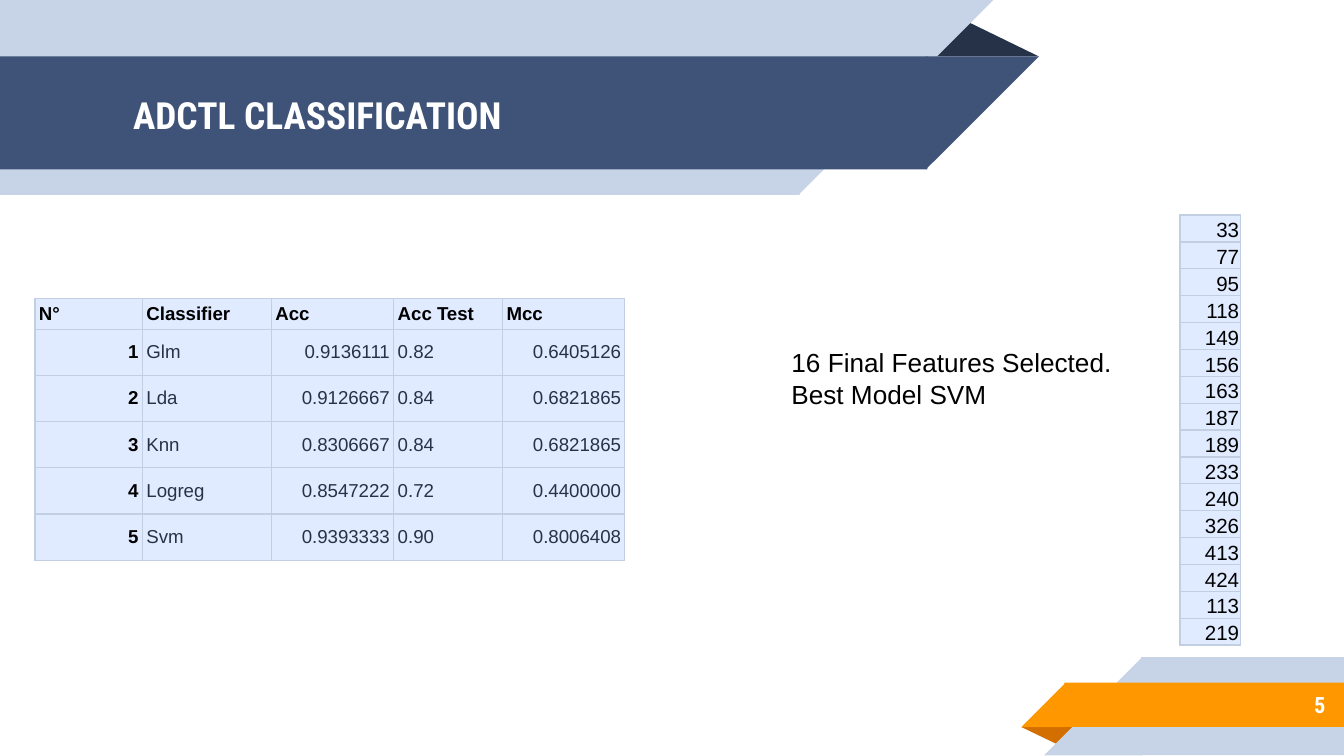
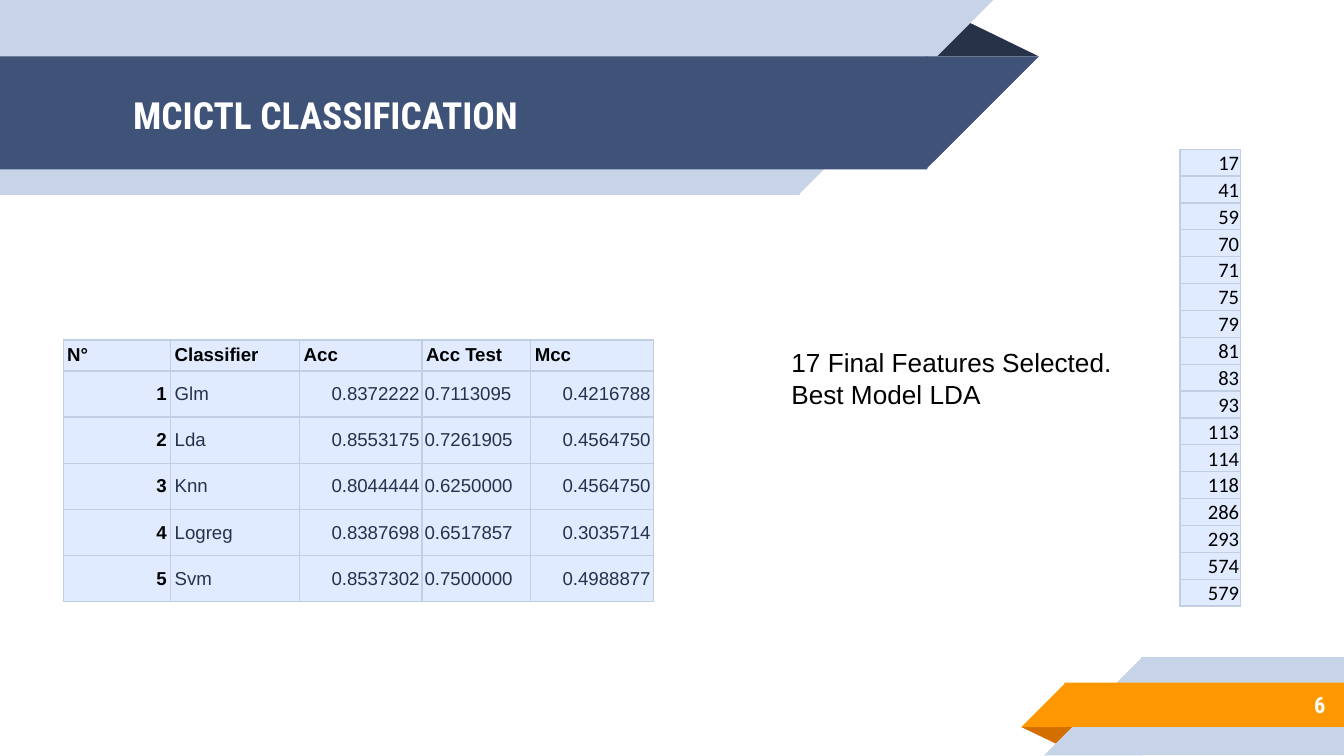
from lxml.etree import SubElement
from pptx import Presentation
from pptx.dml.color import RGBColor
from pptx.enum.shapes import MSO_SHAPE
from pptx.enum.text import MSO_ANCHOR, PP_ALIGN
from pptx.oxml.ns import qn
from pptx.util import Inches, Pt

WHITE = RGBColor(0xFF, 0xFF, 0xFF)
BLACK = RGBColor(0x00, 0x00, 0x00)
PALE = RGBColor(0xC7, 0xD3, 0xE6)
BLUE = RGBColor(0x3F, 0x53, 0x78)
NAVY = RGBColor(0x26, 0x32, 0x48)
ORANGE = RGBColor(0xFF, 0x98, 0x00)
RUST = RGBColor(0xD2, 0x6F, 0x00)
CELL_FILL = RGBColor(0xE1, 0xEB, 0xFF)
CELL_BORDER = "C2CEE2"
HEADING_FONT = "Roboto Condensed"
LEFT, RIGHT = PP_ALIGN.LEFT, PP_ALIGN.RIGHT
RECT, CORNER, TRIANGLE = MSO_SHAPE.RECTANGLE, MSO_SHAPE.RIGHT_TRIANGLE, MSO_SHAPE.ISOSCELES_TRIANGLE

# preset, left, top, width, height, rotation, flipped, colour
BANDS = [
    (TRIANGLE, 7.6, 5.41, 0.43, 0.14, 180, False, RUST),
    (RECT, 8.49, 4.89, 1.51, 0.73, 0, False, PALE),
    (CORNER, 7.77, 4.89, 0.73, 0.73, 0, True, PALE),
    (RECT, 7.92, 5.08, 2.08, 0.33, 0, False, ORANGE),
    (CORNER, 7.6, 5.08, 0.33, 0.33, 0, True, ORANGE),
    (TRIANGLE, 6.88, 0.14, 0.85, 0.28, 0, False, NAVY),
    (RECT, 0, 0, 5.95, 1.45, 0, False, PALE),
    (CORNER, 5.94, 0, 1.45, 1.45, 180, True, PALE),
    (RECT, 0, 0.42, 6.9, 0.84, 0, False, BLUE),
    (CORNER, 6.89, 0.42, 0.84, 0.84, 180, True, BLUE),
]

HEADER = ["N°", "Classifier", "Acc", "Acc Test", "Mcc"]
CLASSIFIERS = ["Glm", "Lda", "Knn", "Logreg", "Svm"]
COLUMN_ALIGNS = [RIGHT, LEFT, RIGHT, LEFT, RIGHT]
SCORE_WIDTHS = [0.8, 0.96, 0.91, 0.81, 0.91]
SCORE_HEIGHTS = [0.23] + [1.72 / 5] * 5

SLIDES = [
    {
        "title": "ADCTL CLASSIFICATION",
        "note": "16 Final Features Selected.\nBest Model SVM",
        "scores_at": (0.26, 2.22),
        "number_insets": (0.03, 0.02),
        "scores": [
            ("0.9136111", "0.82", "0.6405126"),
            ("0.9126667", "0.84", "0.6821865"),
            ("0.8306667", "0.84", "0.6821865"),
            ("0.8547222", "0.72", "0.4400000"),
            ("0.9393333", "0.90", "0.8006408"),
        ],
        "features_top": 1.6,
        "features_font": "Arial",
        "features": [33, 77, 95, 118, 149, 156, 163, 187, 189, 233, 240, 326, 413, 424, 113, 219],
    },
    {
        "title": "MCICTL CLASSIFICATION",
        "note": "17 Final Features Selected.\nBest Model LDA",
        "scores_at": (0.47, 2.53),
        "number_insets": (0.02, 0.01),
        "scores": [
            ("0.8372222", "0.7113095", "0.4216788"),
            ("0.8553175", "0.7261905", "0.4564750"),
            ("0.8044444", "0.6250000", "0.4564750"),
            ("0.8387698", "0.6517857", "0.3035714"),
            ("0.8537302", "0.7500000", "0.4988877"),
        ],
        "features_top": 1.11,
        "features_font": "Calibri",
        "features": [17, 41, 59, 70, 71, 75, 79, 81, 83, 93, 113, 114, 118, 286, 293, 574, 579],
    },
]


def write(frame, text, font, size, color, bold=False, align=LEFT):
    frame.text = text
    for para in frame.paragraphs:
        para.alignment = align
        for span in para.runs:
            span.font.name = font
            span.font.size = Pt(size)
            span.font.bold = bold
            span.font.color.rgb = color


def add_grid(slide, left, top, widths, heights):
    """Add an empty table with pale cells and thin borders."""
    frame = slide.shapes.add_table(
        len(heights), len(widths), Inches(left), Inches(top),
        Inches(sum(widths)), Inches(sum(heights)))
    table = frame.table
    table.first_row = table.horz_banding = False
    for column, width in zip(table.columns, widths):
        column.width = Inches(width)
    for row, height in zip(table.rows, heights):
        row.height = Inches(height)
    for cell in table.iter_cells():
        properties = cell._tc.get_or_add_tcPr()
        for side in ("a:lnL", "a:lnR", "a:lnT", "a:lnB"):
            line = SubElement(properties, qn(side), w=str(Pt(0.75)))
            fill = SubElement(line, qn("a:solidFill"))
            SubElement(fill, qn("a:srgbClr"), val=CELL_BORDER)
        cell.fill.solid()
        cell.fill.fore_color.rgb = CELL_FILL
    return table


deck = Presentation()
deck.slide_width = Inches(10)
deck.slide_height = deck.slide_width * 9 // 16
layout = deck.slide_layouts[5]
for holder in list(layout.placeholders)[1:]:
    holder.element.getparent().remove(holder.element)
slides = [deck.slides.add_slide(layout) for _ in SLIDES]

# The bands are drawn once and moved to the layout, behind its title.
for index, (preset, left, top, width, height, rotation, flipped, color) in enumerate(BANDS):
    band = slides[0].shapes.add_shape(
        preset, Inches(left), Inches(top), Inches(width), Inches(height))
    band.shadow.inherit = False
    band.fill.solid()
    band.fill.fore_color.rgb = color
    band.line.fill.background()
    band.rotation = rotation
    if preset == TRIANGLE:
        band.adjustments[0] = 0.324
    if flipped:
        band.element.spPr.find(qn("a:xfrm")).set("flipH", "1")
    layout.shapes.element.insert(2 + index, band.element)

for number, (slide, content) in enumerate(zip(slides, SLIDES), start=5):
    title = slide.shapes.title
    title.left, title.top = Inches(0.89), Inches(0.43)
    title.width, title.height = Inches(6.01), Inches(0.84)
    write(title.text_frame, content["title"], HEADING_FONT, 20, WHITE, bold=True)

    page_box = slide.shapes.add_textbox(Inches(8.33), Inches(5.07), Inches(1.63), Inches(0.35))
    write(page_box.text_frame, str(number), HEADING_FONT, 12, WHITE, bold=True, align=RIGHT)

    for box in (title, page_box):
        frame = box.text_frame
        frame.word_wrap = True
        frame.vertical_anchor = MSO_ANCHOR.MIDDLE
        frame.margin_left = frame.margin_right = Inches(0.1)
        frame.margin_top = frame.margin_bottom = Inches(0.1)

    scores = add_grid(slide, *content["scores_at"], SCORE_WIDTHS, SCORE_HEIGHTS)
    rows = [HEADER]
    for rank, (name, values) in enumerate(zip(CLASSIFIERS, content["scores"]), start=1):
        rows.append([str(rank), name, *values])
    for r, row in enumerate(rows):
        for c, text in enumerate(row):
            cell = scores.cell(r, c)
            strong = r == 0 or c == 0
            write(cell.text_frame, text, "Arial", 10, BLACK if strong else NAVY,
                  bold=strong, align=COLUMN_ALIGNS[c] if r else LEFT)
            cell.vertical_anchor = MSO_ANCHOR.MIDDLE
            if r == 0:
                across, down = 0.03, 0.03
            elif c < 2:
                across, down = 0.03, 0.02
            else:
                across, down = content["number_insets"]
            cell.margin_left = cell.margin_right = Inches(across)
            cell.margin_top = cell.margin_bottom = Inches(down)

    values = content["features"]
    features = add_grid(slide, 8.78, content["features_top"], [0.45], [0.2] * len(values))
    for cell, value in zip(features.iter_cells(), values):
        write(cell.text_frame, str(value), content["features_font"], 11, BLACK, align=RIGHT)
        cell.vertical_anchor = MSO_ANCHOR.BOTTOM
        cell.margin_left = cell.margin_right = cell.margin_top = Inches(0.01)
        cell.margin_bottom = 0

    note = slide.shapes.add_textbox(Inches(5.79), Inches(2.53), Inches(2.99), Inches(0.57))
    note.text_frame.word_wrap = True
    write(note.text_frame, content["note"], "Arial", 14, BLACK)

deck.save("out.pptx")
